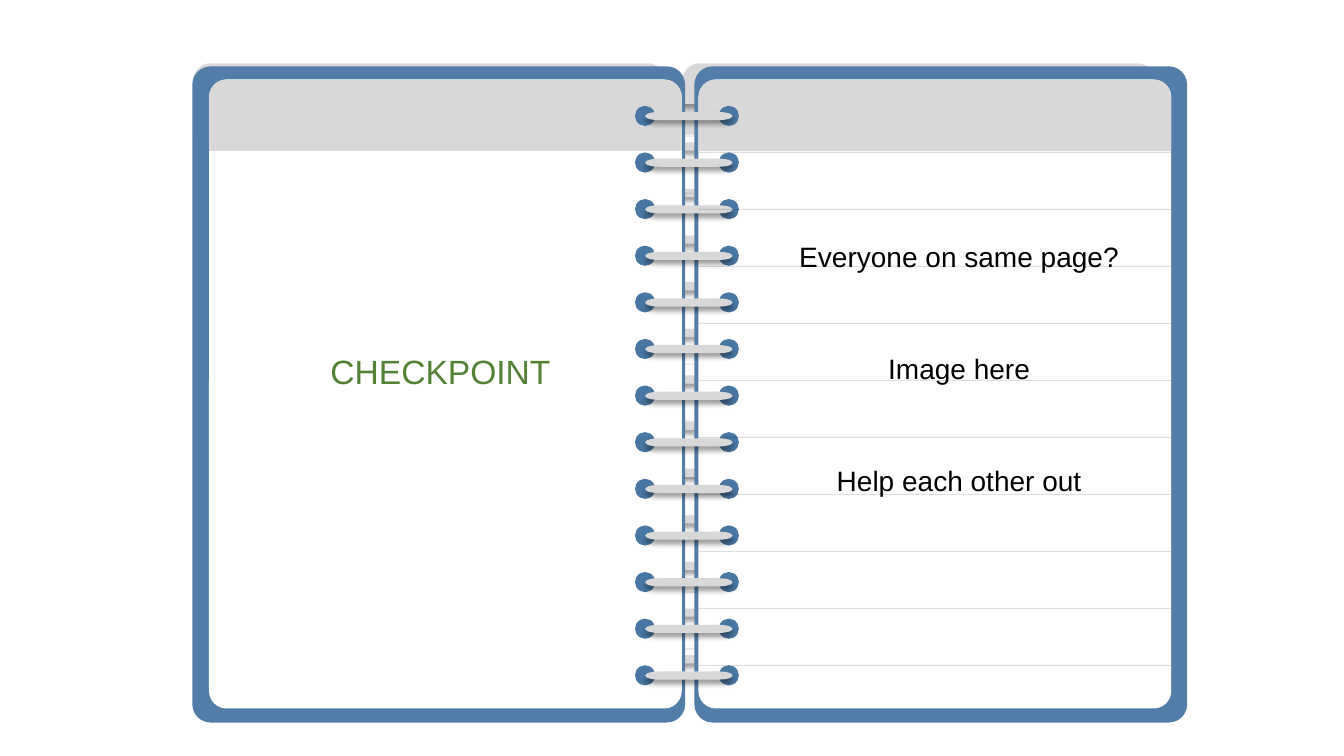
from lxml.etree import SubElement
from pptx import Presentation
from pptx.dml.color import RGBColor
from pptx.enum.shapes import MSO_CONNECTOR as Connector, MSO_SHAPE as Shape
from pptx.enum.text import MSO_ANCHOR as Anchor, MSO_AUTO_SIZE as AutoSize, PP_ALIGN as Align
from pptx.oxml.ns import qn
from pptx.util import Pt

TITLE = "CHECKPOINT"
PROMPTS = ["Everyone on same page?", "Image here", "Help each other out"]

THEME = {
    "cover": "527DA8", "hole": "4977A3", "paper": "FFFFFF", "metal": "D8D8D8",
    "rule": "000000", "title": "548235", "text": "000000",
    "font": "Arial", "title_size": 24, "text_size": 20,
}

# All lengths in points
SLIDE_SIZE = (960, 540)
COVER_LEFTS = (137.4, 496)
COVER_TOP, COVER_SIZE = 47.4, (352, 468.7)
PAGE_LEFTS = (149.3, 498.9)
PAGE_TOP, PAGE_SIZE, HEADER_HEIGHT = 56.8, (337.7, 449.3), 51
CORNER = 0.037
HEADER_CORNER = 0.245
BACK_SHIFT = -11.6
RING_COUNT, RING_PITCH = 13, 33.3
RING_LEFT, RING_TOP, RING_SIZE = 460.8, 80, (62.6, 5.8)
HOLE_LEFTS, HOLE_TOP, HOLE_SIZE = (453.6, 513.4), 75.6, (14.4, 14.4)
RULE_COUNT, RULE_TOP, RULE_PITCH = 10, 108.9, 40.7
TITLE_BOX = (176.4, 247, 276.5, 36)
PROMPT_BOX = (542.2, 151.6, 285.8, 204)
PROMPT_LEADING = 40


def add_filled(shapes, preset, left, top, size, color, corners=()):
    shape = shapes.add_shape(preset, Pt(left), Pt(top), *map(Pt, size))
    shape.shadow.inherit = False
    shape.fill.solid()
    shape.fill.fore_color.rgb = RGBColor.from_string(THEME[color])
    shape.line.fill.background()
    for index, corner in enumerate(corners):
        shape.adjustments[index] = corner
    return shape


def add_alpha(color_element, percent):
    SubElement(color_element, qn("a:alpha"), val=str(percent * 1000))


def add_drop_shadow(shape):
    effects = shape.element.find(".//" + qn("a:effectLst"))
    shadow = SubElement(effects, qn("a:outerShdw"), blurRad=str(Pt(4)), dist=str(Pt(3)),
                        dir="5400000", algn="t", rotWithShape="0")
    add_alpha(SubElement(shadow, qn("a:srgbClr"), val="000000"), 40)


def add_page(shapes, left, shift=0):
    add_filled(shapes, Shape.ROUNDED_RECTANGLE, left + shift, PAGE_TOP + shift,
               PAGE_SIZE, "paper", [CORNER])


def add_header(shapes, left, shift=0):
    add_filled(shapes, Shape.ROUND_2_SAME_RECTANGLE, left + shift, PAGE_TOP + shift,
               (PAGE_SIZE[0], HEADER_HEIGHT), "metal", [HEADER_CORNER, 0])


def add_rings(slide, shift=0, with_holes=True):
    shapes = slide.shapes.add_group_shape().shapes
    for index in range(RING_COUNT):
        offset = shift + index * RING_PITCH
        for left in HOLE_LEFTS if with_holes else ():
            add_filled(shapes, Shape.OVAL, left, HOLE_TOP + offset, HOLE_SIZE, "hole")
        add_drop_shadow(add_filled(shapes, Shape.FLOWCHART_TERMINATOR, RING_LEFT + shift,
                                   RING_TOP + offset, RING_SIZE, "metal"))


def add_rules(slide, shift=0):
    shapes = slide.shapes.add_group_shape().shapes
    left = PAGE_LEFTS[1] + shift
    for index in range(RULE_COUNT):
        y = Pt(RULE_TOP + shift + index * RULE_PITCH)
        rule = shapes.add_connector(Connector.STRAIGHT, Pt(left), y, Pt(left + PAGE_SIZE[0]), y)
        rule.line.width = Pt(0.75)
        rule.line.color.rgb = RGBColor.from_string(THEME["rule"])
        properties = rule.element.spPr
        add_alpha(properties.find(".//" + qn("a:srgbClr")), 13)
        SubElement(properties, qn("a:effectLst"))


def fill_placeholder(placeholder, box, lines, size, color, leading=None):
    """Place the placeholder in front and write centred lines; leading also spaces them apart."""
    element = placeholder.element
    element.getparent().append(element)
    for name, value in zip(("left", "top", "width", "height"), box):
        setattr(placeholder, name, Pt(value))
    frame = placeholder.text_frame
    frame.text = "\n".join(lines)
    frame_format = {"word_wrap": True, "auto_size": AutoSize.NONE, "vertical_anchor": Anchor.TOP}
    for name, value in frame_format.items():
        setattr(frame, name, value)
    for index, paragraph in enumerate(frame.paragraphs):
        properties = paragraph._p.get_or_add_pPr()
        properties.set("marL", "0")
        properties.set("indent", "0")
        SubElement(properties, qn("a:buNone"))
        paragraph.alignment = Align.CENTER
        paragraph.space_before = Pt(leading if leading and index else 0)
        if leading:
            paragraph.line_spacing = Pt(leading)
        font_format = {"name": THEME["font"], "size": Pt(THEME[size])}
        for name, value in font_format.items():
            setattr(paragraph.font, name, value)
        paragraph.font.color.rgb = RGBColor.from_string(THEME[color])


def main():
    presentation = Presentation()
    presentation.slide_width, presentation.slide_height = map(Pt, SLIDE_SIZE)
    slide = presentation.slides.add_slide(presentation.slide_layouts[1])
    shapes = slide.shapes
    title, prompts = slide.placeholders

    add_page(shapes, PAGE_LEFTS[1], BACK_SHIFT)
    for left in PAGE_LEFTS:
        add_header(shapes, left, BACK_SHIFT)
    add_rings(slide, BACK_SHIFT, with_holes=False)
    add_rules(slide, BACK_SHIFT)

    for left in COVER_LEFTS:
        add_filled(shapes, Shape.ROUNDED_RECTANGLE, left, COVER_TOP, COVER_SIZE, "cover", [CORNER])
    for left in PAGE_LEFTS:
        add_page(shapes, left)
        add_header(shapes, left)
    add_rings(slide)
    add_rules(slide)

    fill_placeholder(title, TITLE_BOX, [TITLE], "title_size", "title")
    fill_placeholder(prompts, PROMPT_BOX, PROMPTS, "text_size", "text", PROMPT_LEADING)
    presentation.save("out.pptx")


if __name__ == "__main__":
    main()
